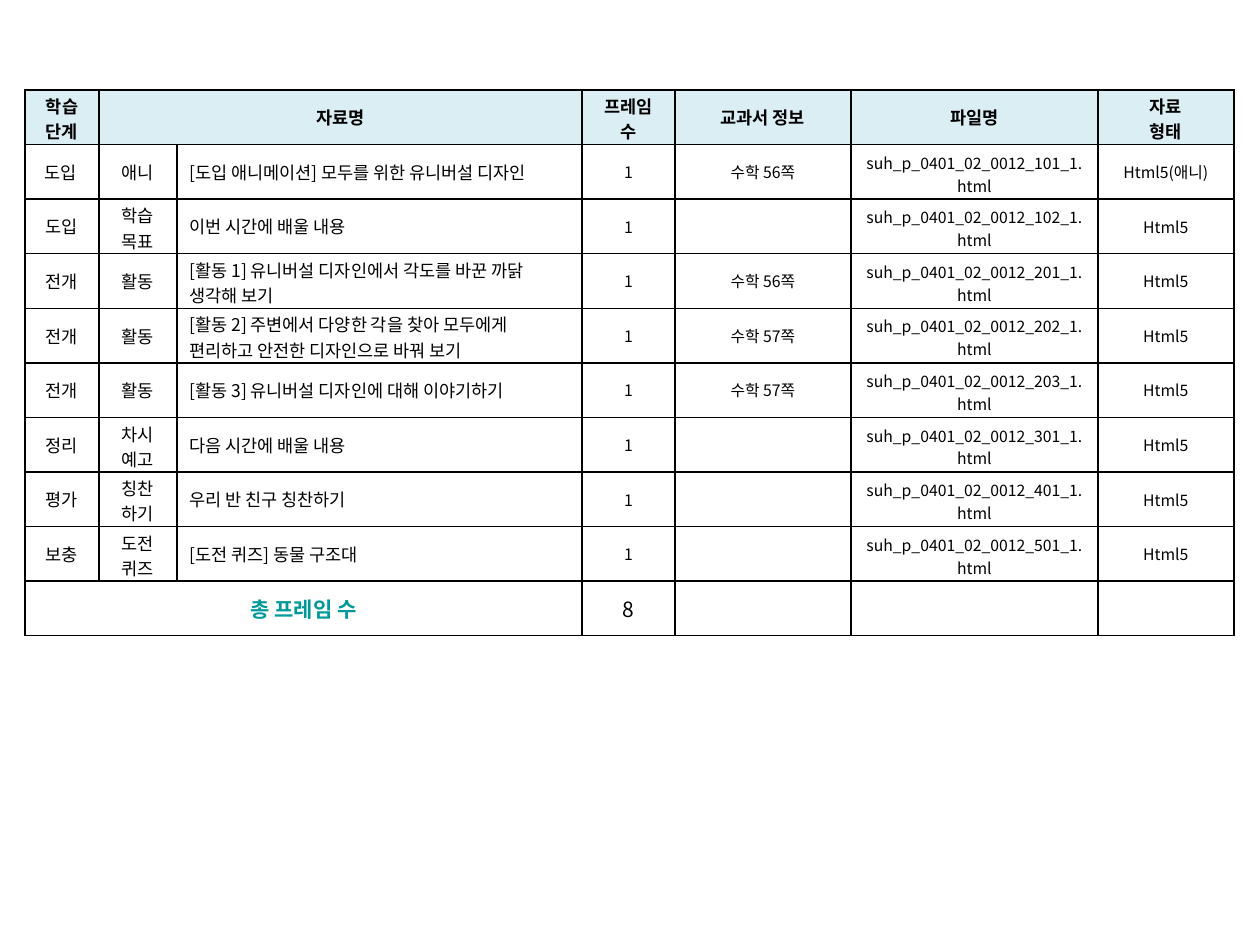
from lxml import etree
from pptx import Presentation
from pptx import util as u
from pptx.dml.color import RGBColor
from pptx.enum import text
from pptx.oxml.ns import qn

EMU_PER_PX = 914400 / 126
FONT = "Noto Sans CJK KR"
BLACK, TEAL, HEADER_FILL = "000000", "009999", "DBEEF4"
COLUMN_WIDTHS = [74, 78, 405, 93, 176, 247, 136]
TITLE_COLUMN, FRAME_COLUMN, FILE_COLUMN = 2, 3, 5
# Top and bottom margins that keep two lines within a row
TIGHT_MARGINS = {10: (3, 0), 9: (6, 2)}

HEADINGS = ["학습 단계", "자료명", "", "프레임 수", "교과서 정보", "파일명", "자료\n형태"]
# stage, activity, title, textbook page, file number, format
LESSONS = [
    ("도입 ", "애니", "[도입 애니메이션] 모두를 위한 유니버설 디자인", "수학 56쪽", 101, "Html5(애니)"),
    ("도입", "학습 목표", "이번 시간에 배울 내용", "", 102, "Html5"),
    ("전개", "활동", "[활동 1] 유니버설 디자인에서 각도를 바꾼 까닭 생각해 보기", "수학 56쪽", 201, "Html5"),
    ("전개", "활동", "[활동 2] 주변에서 다양한 각을 찾아 모두에게 편리하고 안전한 디자인으로 바꿔 보기",
     "수학 57쪽", 202, "Html5"),
    ("전개", "활동", "[활동 3] 유니버설 디자인에 대해 이야기하기", "수학 57쪽", 203, "Html5"),
    ("정리", "차시 예고", "다음 시간에 배울 내용", "", 301, "Html5"),
    ("평가", "칭찬\n하기", "우리 반 친구 칭찬하기", "", 401, "Html5"),
    ("보충", "도전 퀴즈", "[도전 퀴즈] 동물 구조대", "", 501, "Html5"),
]
TWO_LINE_TEXTS = {"학습 단계", "프레임 수", "자료\n형태", "학습 목표", "차시 예고",
                  "칭찬\n하기", "도전 퀴즈", LESSONS[2][2], LESSONS[3][2]}


def px(length):
    return u.Emu(round(length * EMU_PER_PX))


def color(value):
    return RGBColor.from_string(value)


def draw_borders(cell):
    properties = cell._tc.get_or_add_tcPr()
    for position, side in enumerate(("lnL", "lnR", "lnT", "lnB")):
        line = etree.Element(qn(f"a:{side}"), w=str(u.Pt(1)))
        fill = etree.SubElement(line, qn("a:solidFill"))
        etree.SubElement(fill, qn("a:srgbClr"), val=BLACK)
        properties.insert(position, line)


def write_cell(cell, content, size=10, bold=False, ink=BLACK, fill=None, centred=True,
               two_lines=False):
    cell.vertical_anchor = text.MSO_ANCHOR.MIDDLE
    if two_lines or content in TWO_LINE_TEXTS:
        cell.margin_top, cell.margin_bottom = map(px, TIGHT_MARGINS[size])
    if fill:
        cell.fill.solid()
        cell.fill.fore_color.rgb = color(fill)
    else:
        cell.fill.background()
    draw_borders(cell)

    frame = cell.text_frame
    for index, line in enumerate(content.split("\n")):
        paragraph = frame.add_paragraph() if index else frame.paragraphs[0]
        paragraph.alignment = text.PP_ALIGN.CENTER if centred else text.PP_ALIGN.LEFT
        run = paragraph.add_run()
        run.text = line
        for name, value in {"size": u.Pt(size), "bold": bold, "name": FONT}.items():
            setattr(run.font, name, value)
        run.font.color.rgb = color(ink)
        # Korean glyphs take the East Asian typeface, without pair kerning
        run.font._element.set("kern", "0")
        etree.SubElement(run.font._element, qn("a:ea"), typeface=FONT)


def add_lesson_table(slide):
    row_count = len(LESSONS) + 2
    frame = slide.shapes.add_table(row_count, len(COLUMN_WIDTHS),
                                   px(25), px(90), px(sum(COLUMN_WIDTHS)), px(546))
    table = frame.table
    table.first_row = table.horz_banding = False
    for column, width in zip(table.columns, COLUMN_WIDTHS):
        column.width = px(width)
    return table


def fill_lesson_table(table):
    # Heading row
    for column, heading in enumerate(HEADINGS):
        write_cell(table.cell(0, column), heading, bold=True, fill=HEADER_FILL)
    table.cell(0, 1).merge(table.cell(0, TITLE_COLUMN))

    # One row per lesson resource, each a single frame
    for row, (stage, activity, title, page, number, kind) in enumerate(LESSONS, 1):
        file_name = f"suh_p_0401_02_0012_{number}_1.html"
        for column, content in enumerate((stage, activity, title, "1", page, file_name, kind)):
            write_cell(table.cell(row, column), content,
                       size=9 if column >= FRAME_COLUMN else 10,
                       centred=column != TITLE_COLUMN,
                       two_lines=column == FILE_COLUMN)

    # Total row
    total_row = len(LESSONS) + 1
    totals = ["총 프레임 수", "", "", str(len(LESSONS)), "", "", ""]
    for column, content in enumerate(totals):
        is_label = column == 0
        write_cell(table.cell(total_row, column), content, size=12,
                   bold=is_label, ink=TEAL if is_label else BLACK)
    table.cell(total_row, 0).merge(table.cell(total_row, TITLE_COLUMN))


def main():
    deck = Presentation()
    deck.slide_width, deck.slide_height = px(1260), px(945)
    slide = deck.slides.add_slide(deck.slide_layouts[6])
    fill_lesson_table(add_lesson_table(slide))
    deck.save("out.pptx")


if __name__ == "__main__":
    main()
